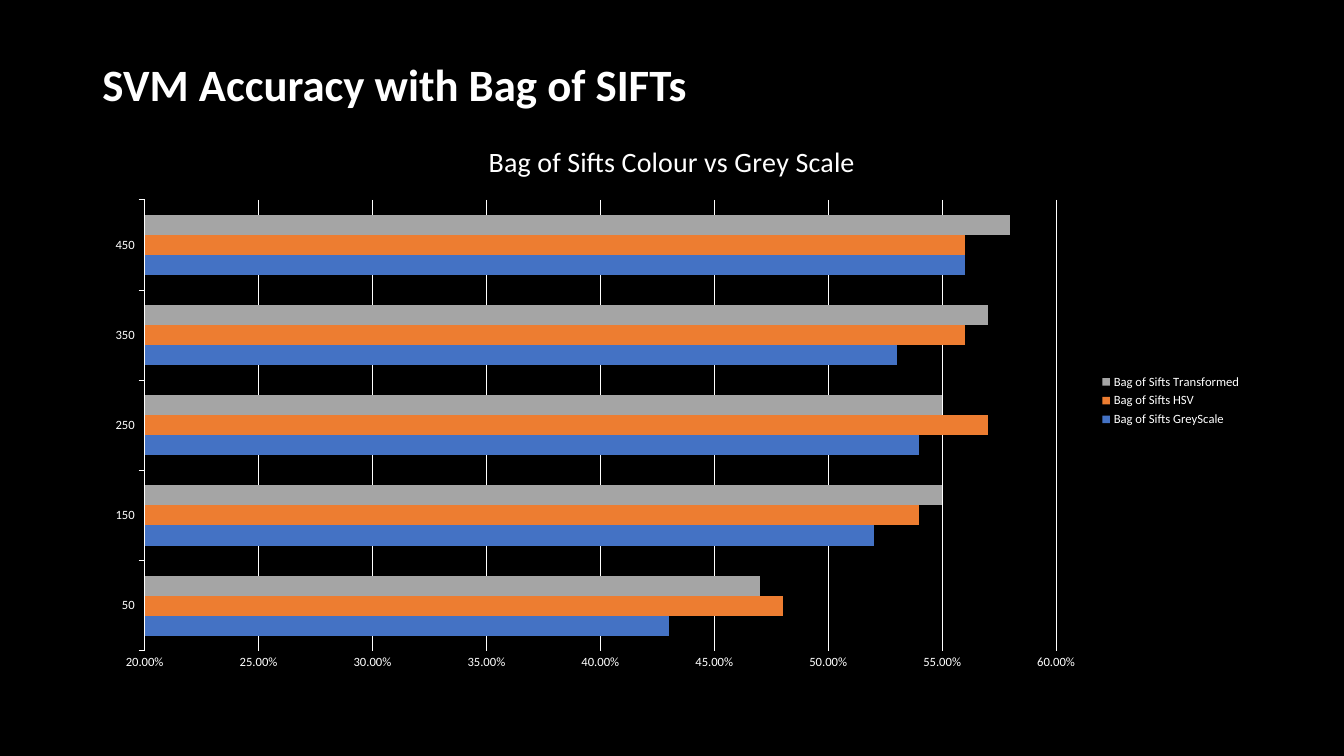
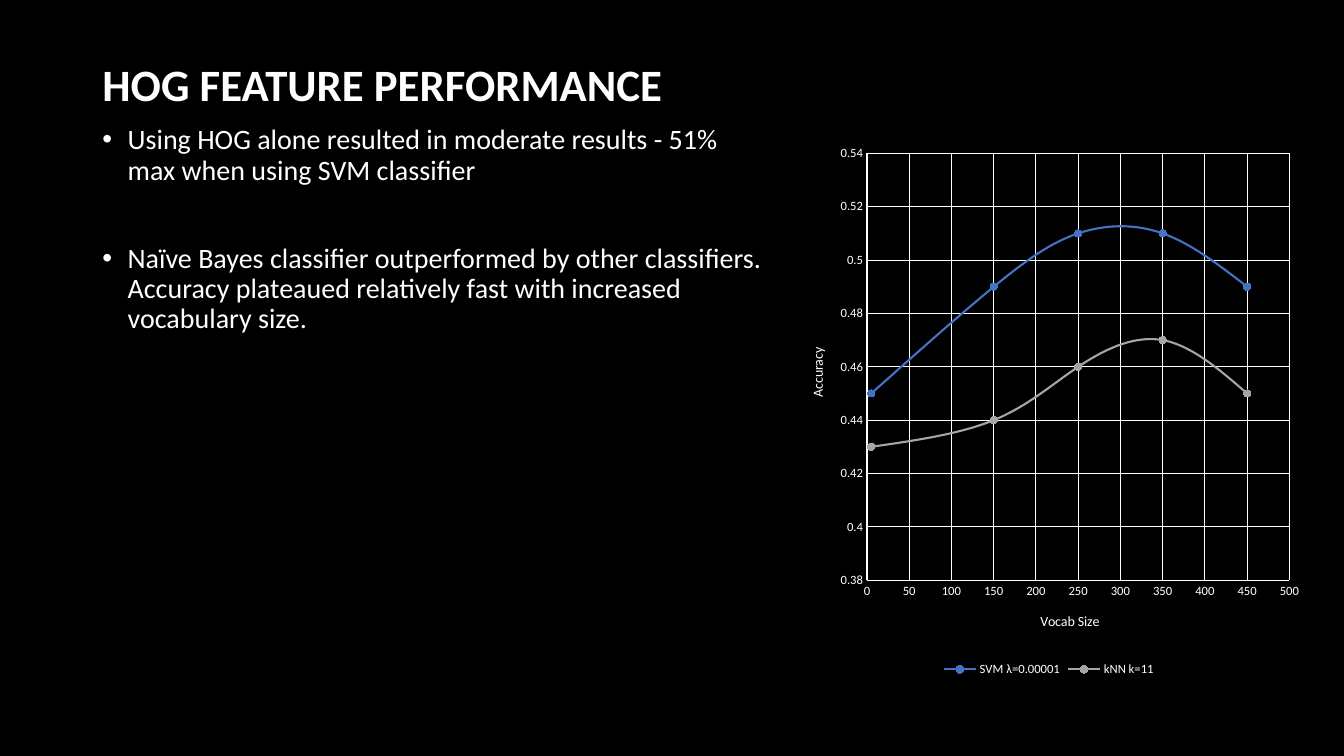
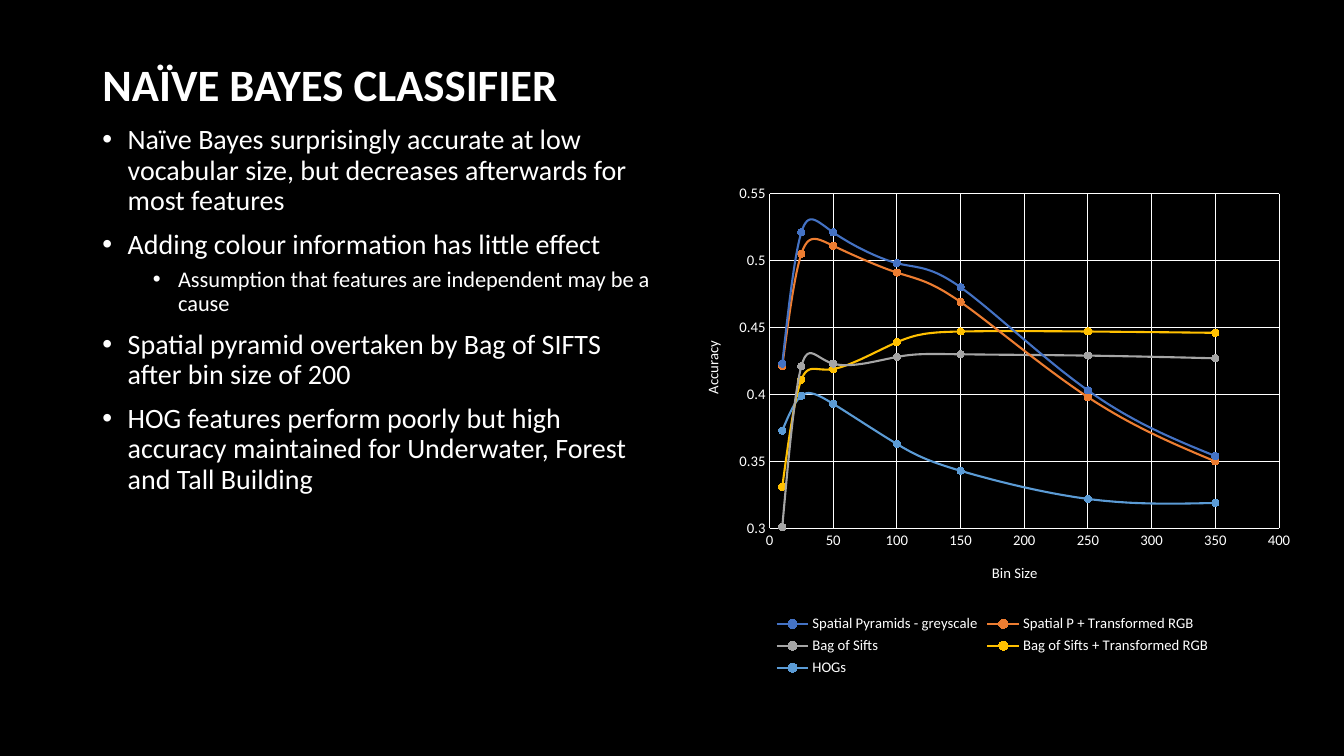
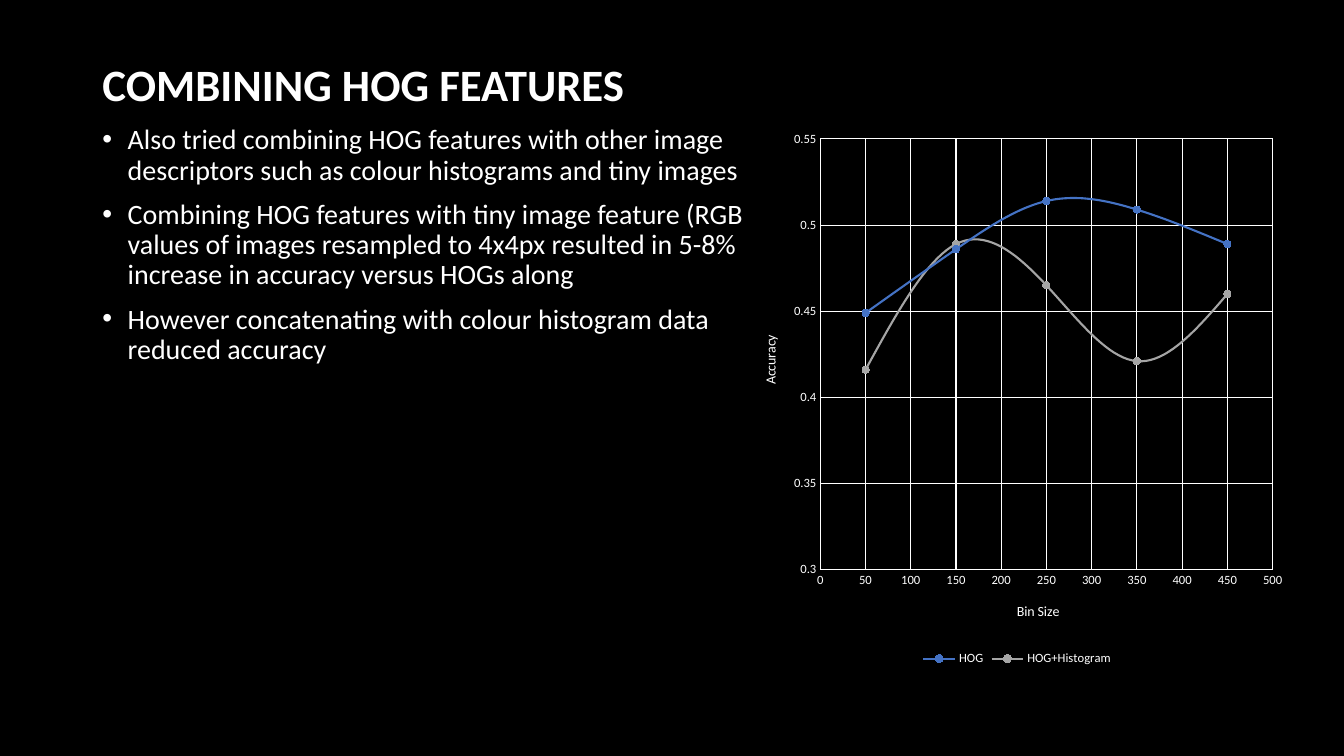
from lxml import etree
from pptx import Presentation
from pptx.chart.data import CategoryChartData, XyChartData
from pptx.dml.color import RGBColor
from pptx.enum.chart import XL_CHART_TYPE, XL_LEGEND_POSITION, XL_MARKER_STYLE, XL_TICK_MARK
from pptx.enum.text import MSO_ANCHOR, MSO_AUTO_SIZE, PP_ALIGN
from pptx.oxml.ns import qn
from pptx.util import Pt

BAR, SMOOTH = XL_CHART_TYPE.BAR_CLUSTERED, XL_CHART_TYPE.XY_SCATTER_SMOOTH
RIGHT, BOTTOM = XL_LEGEND_POSITION.RIGHT, XL_LEGEND_POSITION.BOTTOM
CIRCLE = XL_MARKER_STYLE.CIRCLE
TICK_NONE, TICK_OUT = XL_TICK_MARK.NONE, XL_TICK_MARK.OUTSIDE
MIDDLE, TOP = MSO_ANCHOR.MIDDLE, MSO_ANCHOR.TOP
NO_FIT, LEFT = MSO_AUTO_SIZE.NONE, PP_ALIGN.LEFT

BLACK = RGBColor(0x00, 0x00, 0x00)
WHITE = RGBColor(0xFF, 0xFF, 0xFF)
BLUE = RGBColor(0x44, 0x72, 0xC4)
ORANGE = RGBColor(0xED, 0x7D, 0x31)
GREY = RGBColor(0xA5, 0xA5, 0xA5)
GOLD = RGBColor(0xFF, 0xC0, 0x00)
SKY = RGBColor(0x5B, 0x9B, 0xD5)

FONT = "Calibri"
MARGIN, TITLE_TOP, BODY_TOP = 66, 37.5, 86.2
CONTENT_WIDTH, TITLE_HEIGHT, BODY_HEIGHT = 828, 49, 400
# level: (text size, left indent, space before)
LEVELS = {0: (20, 18, 10), 1: (16, 54, 5)}
HANGING = 18
TITLE_ONLY, TITLE_AND_BODY = 5, 1


def apply(target, **values):
    for attribute, value in values.items():
        setattr(target, attribute, value)


def place(shape, left, top, width, height):
    apply(shape, left=Pt(left), top=Pt(top), width=Pt(width), height=Pt(height))


def style_font(font, size, bold=False):
    apply(font, name=FONT, size=Pt(size), bold=bold)
    font.color.rgb = WHITE


def style_line(line, color=WHITE, width=0.75):
    line.color.rgb = color
    line.width = Pt(width)


class Deck:
    """Holds the presentation, its shared style and the slide being filled."""

    def __init__(self):
        self.prs = Presentation()
        apply(self.prs, slide_width=Pt(960), slide_height=Pt(540))
        background = self.prs.slide_master.background.fill
        background.solid()
        background.fore_color.rgb = BLACK
        self.slide = None

    def add_slide(self, title, layout=TITLE_AND_BODY):
        self.slide = self.prs.slides.add_slide(self.prs.slide_layouts[layout])
        heading = self.slide.shapes.title
        place(heading, MARGIN, TITLE_TOP, CONTENT_WIDTH, TITLE_HEIGHT)
        frame = heading.text_frame
        apply(frame, text=title, vertical_anchor=MIDDLE, auto_size=NO_FIT, word_wrap=True)
        paragraph = frame.paragraphs[0]
        apply(paragraph, alignment=LEFT, line_spacing=0.9)
        style_font(paragraph.runs[0].font, 32, bold=True)

    def bullets(self, items, width, gap=None):
        """Fill the body with (level, text) items; gap replaces the usual space before."""
        body = self.slide.placeholders[1]
        place(body, MARGIN, BODY_TOP, width, BODY_HEIGHT)
        frame = body.text_frame
        apply(frame, vertical_anchor=TOP, auto_size=NO_FIT, word_wrap=True)
        for index, (level, text) in enumerate(items):
            paragraph = frame.add_paragraph() if index else frame.paragraphs[0]
            size, indent, before = LEVELS[level]
            properties = paragraph._p.get_or_add_pPr()
            properties.set("marL", str(Pt(indent)))
            properties.set("indent", str(Pt(-HANGING)))
            etree.SubElement(properties, qn("a:buFont")).set("typeface", "Arial")
            etree.SubElement(properties, qn("a:buChar")).set("char", "•")
            apply(paragraph, level=level, alignment=LEFT, line_spacing=0.9,
                  space_before=Pt((gap or before) if index else 0))
            run = paragraph.add_run()
            run.text = text
            style_font(run.font, size)

    def chart(self, kind, data, box, size, legend_position):
        frame = self.slide.shapes.add_chart(kind, *map(Pt, box), data)
        chart = frame.chart
        style_font(chart.font, size)
        apply(chart, has_title=False, has_legend=True)
        apply(chart.legend, position=legend_position, include_in_layout=False)
        style_font(chart.legend.font, size)
        chart.plots[0].vary_by_categories = False
        return chart

    def axis(self, axis, size, scale=None, title=None, grid=True, tick=TICK_NONE):
        """Style an axis; scale is (minimum, maximum, major unit)."""
        apply(axis, has_major_gridlines=grid, major_tick_mark=tick, minor_tick_mark=TICK_NONE)
        style_font(axis.tick_labels.font, size)
        style_line(axis.format.line)
        if grid:
            style_line(axis.major_gridlines.format.line)
        if scale:
            apply(axis, **dict(zip(("minimum_scale", "maximum_scale", "major_unit"), scale)))
        if title:
            frame = axis.axis_title.text_frame
            frame.text = title
            style_font(frame.paragraphs[0].runs[0].font, max(size, 10))

    def bar_chart(self, title, categories, series, box, scale):
        data = CategoryChartData(number_format="0.00%")
        data.categories = categories
        for name, _, values in series:
            data.add_series(name, values)
        chart = self.chart(BAR, data, box, 9, RIGHT)
        heading = chart.chart_title
        heading.include_in_layout = False
        heading.text_frame.text = title
        style_font(heading.text_frame.paragraphs[0].runs[0].font, 20)
        self.axis(chart.category_axis, 9, grid=False, tick=TICK_OUT)
        self.axis(chart.value_axis, 9, scale)
        chart.value_axis.format.line.fill.background()
        apply(chart.value_axis.tick_labels, number_format="0.00%", number_format_is_linked=False)
        plot = chart.plots[0]
        apply(plot, gap_width=150, overlap=0)
        for bars, (_, color, _) in zip(plot.series, series):
            bars.format.fill.solid()
            bars.format.fill.fore_color.rgb = color

    def curve_chart(self, sizes, series, box, x_title, x_scale, y_scale, size=9):
        """Smooth accuracy curves over the given vocabulary or bin sizes."""
        data = XyChartData()
        for name, _, values in series:
            points = data.add_series(name)
            for x, y in zip(sizes, values):
                points.add_data_point(x, y)
        chart = self.chart(SMOOTH, data, box, size, BOTTOM)
        self.axis(chart.category_axis, size, x_scale, x_title)
        self.axis(chart.value_axis, size, y_scale, "Accuracy")
        for curve, (_, color, _) in zip(chart.plots[0].series, series):
            # XY series have no public smooth property
            curve._element.get_or_add_smooth().set("val", "1")
            style_line(curve.format.line, color, 1.5)
            marker = curve.marker
            apply(marker, style=CIRCLE, size=5)
            marker.format.fill.solid()
            marker.format.fill.fore_color.rgb = color
            style_line(marker.format.line, color)


def main():
    deck = Deck()

    deck.add_slide("SVM Accuracy with Bag of SIFTs", TITLE_ONLY)
    deck.bar_chart(
        "Bag of Sifts Colour vs Grey Scale",
        ["50", "150", "250", "350", "450"],
        [("Bag of Sifts GreyScale", BLUE, (0.43, 0.52, 0.54, 0.53, 0.56)),
         ("Bag of Sifts HSV", ORANGE, (0.48, 0.54, 0.57, 0.56, 0.56)),
         ("Bag of Sifts Transformed", GREY, (0.47, 0.55, 0.55, 0.57, 0.58))],
        (MARGIN, BODY_TOP, CONTENT_WIDTH, BODY_HEIGHT), (0.2, 0.6, 0.05))

    deck.add_slide("HOG FEATURE PERFORMANCE")
    deck.bullets([
        (0, "Using HOG alone resulted in moderate results - 51% max when using SVM classifier"),
        (0, "Naïve Bayes classifier outperformed by other classifiers. Accuracy plateaued "
            "relatively fast with increased vocabulary size."),
    ], 491, gap=41.5)
    deck.curve_chart(
        (5, 150, 250, 350, 450),
        [("SVM λ=0.00001", BLUE, (0.45, 0.49, 0.51, 0.51, 0.49)),
         ("kNN k=11", GREY, (0.43, 0.44, 0.46, 0.47, 0.45))],
        (563, 96.5, 372.4, 389.8), "Vocab Size", (0, 500, 50), (0.38, 0.54, 0.02))

    deck.add_slide("NAÏVE BAYES CLASSIFIER")
    deck.bullets([
        (0, "Naïve Bayes surprisingly accurate at low vocabular size, but decreases "
            "afterwards for most features"),
        (0, "Adding colour information has little effect"),
        (1, "Assumption that features are independent may be a cause"),
        (0, "Spatial pyramid overtaken by Bag of SIFTS after bin size of 200"),
        (0, "HOG features perform poorly but high accuracy maintained for Underwater, "
            "Forest and Tall Building"),
    ], 406)
    deck.curve_chart(
        (10, 25, 50, 100, 150, 250, 350),
        [("Spatial Pyramids - greyscale", BLUE,
          (0.423, 0.521, 0.521, 0.498, 0.48, 0.403, 0.354)),
         ("Spatial P + Transformed RGB", ORANGE,
          (0.421, 0.505, 0.511, 0.491, 0.469, 0.398, 0.35)),
         ("Bag of Sifts", GREY,
          (0.301, 0.421, 0.423, 0.428, 0.43, 0.429, 0.427)),
         ("Bag of Sifts + Transformed RGB", GOLD,
          (0.331, 0.411, 0.419, 0.439, 0.447, 0.447, 0.446)),
         ("HOGs", SKY,
          (0.373, 0.399, 0.393, 0.363, 0.343, 0.322, 0.319))],
        (487.5, 124.6, 443, 361.6), "Bin Size", (0, 400, 50), (0.3, 0.55, 0.05), size=10.5)

    deck.add_slide("COMBINING HOG FEATURES")
    deck.bullets([
        (0, "Also tried combining HOG features with other image descriptors such as "
            "colour histograms and tiny images"),
        (0, "Combining HOG features with tiny image feature (RGB values of images resampled "
            "to 4x4px resulted in 5-8% increase in accuracy versus HOGs along"),
        (0, "However concatenating with colour histogram data reduced accuracy"),
    ], 491)
    deck.curve_chart(
        (50, 150, 250, 350, 450),
        [("HOG", BLUE, (0.449, 0.486, 0.514, 0.509, 0.489)),
         ("HOG+Histogram", GREY, (0.416, 0.489, 0.465, 0.421, 0.46))],
        (529.2, BODY_TOP, 394.6, 392.4), "Bin Size", (0, 500, 50), (0.3, 0.55, 0.05))

    deck.prs.save("out.pptx")


if __name__ == "__main__":
    main()
